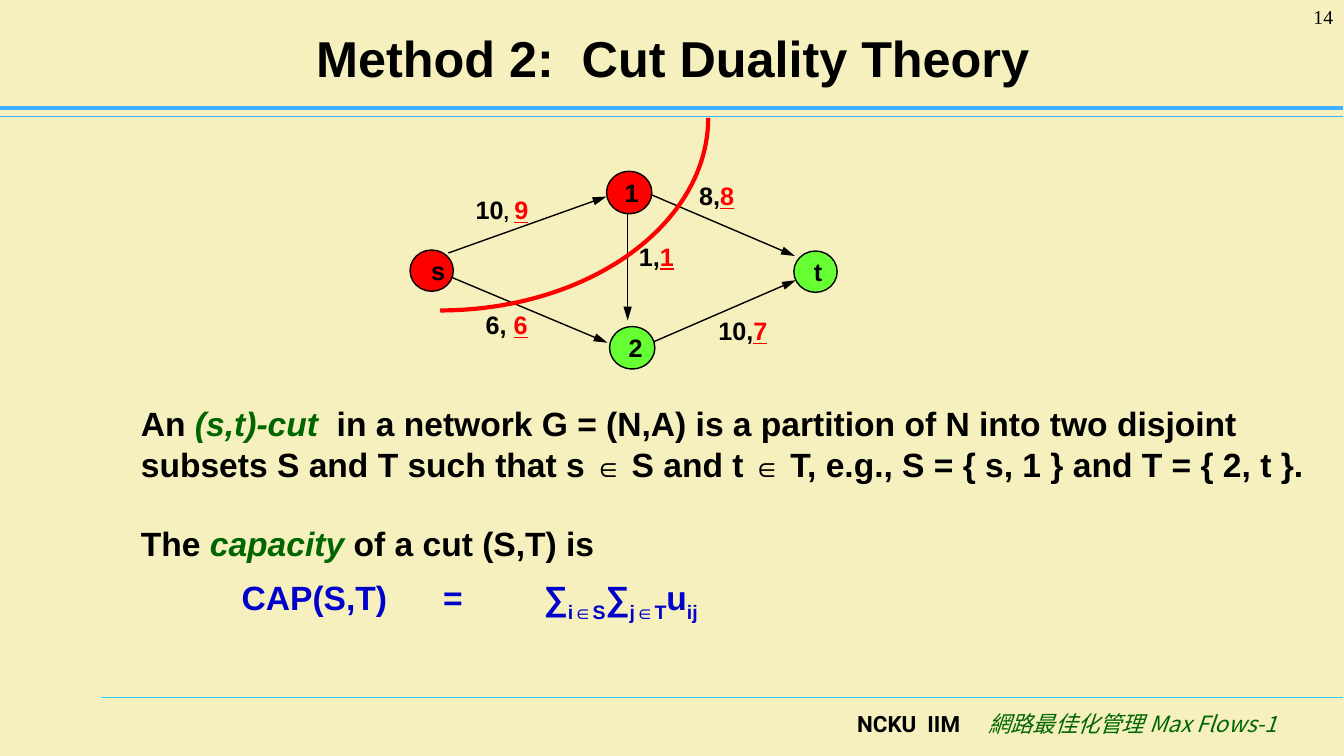
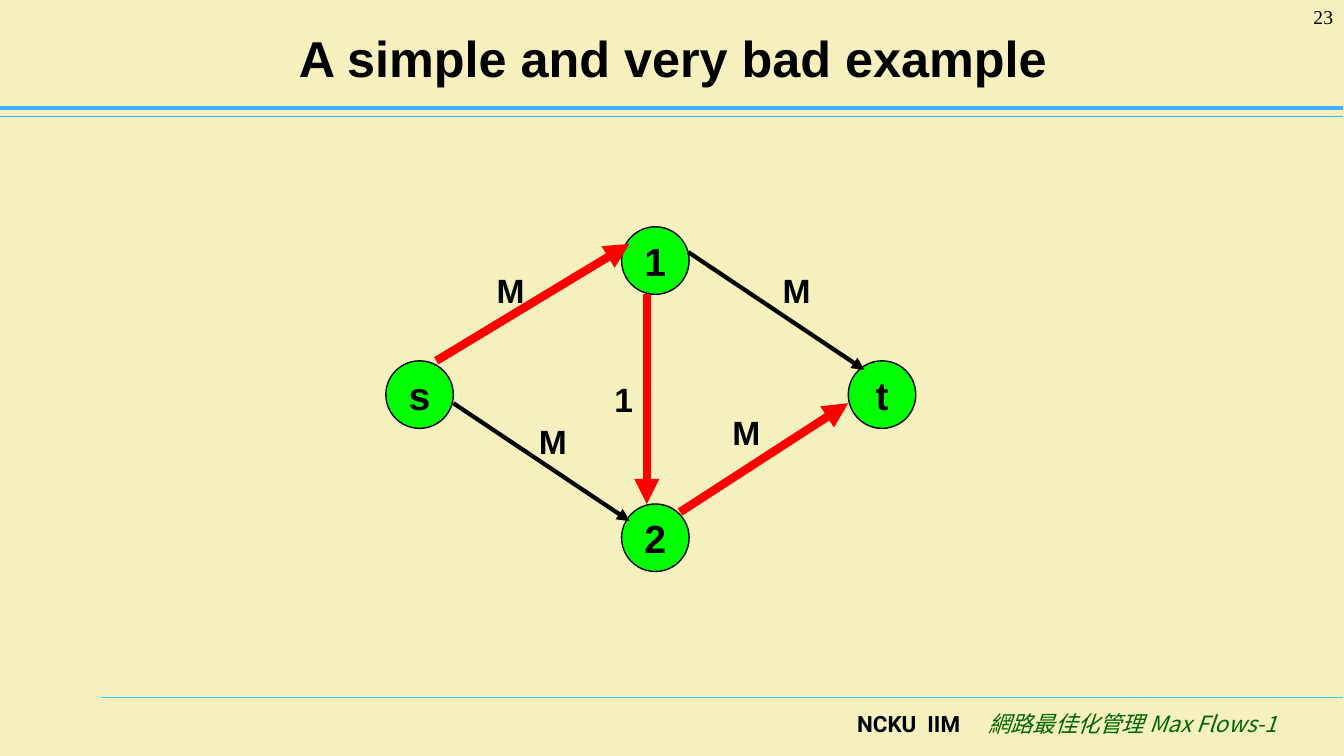
import math

import pptx
import pptx.dml.color
import pptx.enum.shapes
import pptx.enum.text
import pptx.oxml
import pptx.oxml.ns
import pptx.util
from lxml import etree
from pptx.util import Inches

COLORS = {
    "background": "F5F0BD", "text": "000000", "rule": "3DB0FF", "footer_rule": "33CCFF",
    "term": "006600", "formula": "0000CC", "red": "FF0000",
    "sink_side": "66FF33", "node": "00FF00",
}
RGB = {name: pptx.dml.color.RGBColor.from_string(value) for name, value in COLORS.items()}
ALIGN = pptx.enum.text.PP_ALIGN
MIDDLE = pptx.enum.text.MSO_ANCHOR.MIDDLE
qn = pptx.oxml.ns.qn


def write(paragraph, runs, size, font="Arial", bold=True, align=ALIGN.LEFT, tabs=()):
    """Fill a paragraph with (text, overrides) runs over one common font."""
    paragraph.alignment = align
    if tabs:
        tab_list = etree.SubElement(paragraph._p.get_or_add_pPr(), qn("a:tabLst"))
        for tab in tabs:
            etree.SubElement(tab_list, qn("a:tab"), pos=str(Inches(tab)), algn="l")
    paragraph.font.name, paragraph.font.size = font, pptx.util.Pt(size)
    paragraph.font.bold = bold
    paragraph.font.color.rgb = RGB["text"]
    for text, overrides in runs:
        run = paragraph.add_run()
        run.text = text
        for key, value in overrides.items():
            if key == "color":
                run.font.color.rgb = RGB[value]
            elif key == "size":
                run.font.size = pptx.util.Pt(value)
            elif key == "baseline":
                run._r.get_or_add_rPr().set("baseline", str(value * 1000))
            else:
                setattr(run.font, key, value)


def add_line(slide, ends, color, width, head=None):
    """Draw a straight line; head is the (width, length) of an arrowhead at its end."""
    line = slide.shapes.add_connector(
        pptx.enum.shapes.MSO_CONNECTOR.STRAIGHT, *[Inches(value) for value in ends])
    line.line.color.rgb = RGB[color]
    line.line.width = pptx.util.Pt(width)
    if head:
        etree.SubElement(line.line._get_or_add_ln(), qn("a:tailEnd"),
                         type="triangle", w=head[0], len=head[1])
    etree.SubElement(line._element.spPr, qn("a:effectLst"))
    return line


presentation = pptx.Presentation()
presentation.slide_width, presentation.slide_height = Inches(13.34), Inches(7.5)
background = presentation.slide_master.background.fill
background.solid()
background.fore_color.rgb = RGB["background"]

layout = presentation.slide_layouts[5]
for placeholder in list(layout.placeholders):
    if placeholder.placeholder_format.idx != 0:
        placeholder.element.getparent().remove(placeholder.element)

# Flow labels: capacity in black, flow in underlined red
flow = {"color": "red", "underline": True}

# Nodes: text, left, top, width, height, fill, left inset
# Edges: x1, y1, x2, y2, colour, width
# Labels: left, top, runs
diagrams = [
    {
        "title": "Method 2:  Cut Duality Theory", "number": "14",
        "node_size": 18, "label_size": 18, "label_inset": 0, "head": ("med", "lg"),
        "nodes": [
            ("s", 4.07, 2.48, 0.43, 0.41, "red", 0.13),
            ("1", 6.02, 1.7, 0.45, 0.42, "red", 0.05),
            ("2", 6.05, 3.24, 0.45, 0.42, "sink_side", 0.07),
            ("t", 7.88, 2.49, 0.43, 0.41, "sink_side", 0.05),
        ],
        "edges": [
            (4.45, 2.51, 6.02, 1.95, "text", 1),
            (4.48, 2.75, 6.03, 3.4, "text", 1),
            (6.46, 1.93, 7.89, 2.54, "text", 1),
            (6.49, 3.39, 7.9, 2.78, "text", 1),
            (6.23, 2.12, 6.23, 3.18, "text", 1),
        ],
        "labels": [
            (4.72, 1.93, [("10", {}), (", ", {"size": 14}), ("9", flow)]),
            (6.94, 1.79, [("8,", {}), ("8", flow)]),
            (6.34, 2.39, [("1,", {}), ("1", flow)]),
            (7.13, 3.13, [("10,", {}), ("7", flow)]),
            (4.82, 3.07, [("6, ", {}), ("6", flow)]),
        ],
    },
    {
        "title": "A simple and very bad example", "number": "23",
        "node_size": 28, "label_size": 24, "label_inset": 0.1, "head": ("med", "med"),
        "nodes": [
            ("s", 3.83, 3.58, 0.67, 0.67, "node", 0),
            ("1", 6.17, 2.25, 0.67, 0.67, "node", 0),
            ("2", 6.17, 5, 0.67, 0.67, "node", 0),
            ("t", 8.42, 3.58, 0.67, 0.67, "node", 0),
        ],
        "edges": [
            (6.83, 2.5, 8.58, 3.67, "text", 3),
            (4.5, 4, 6.25, 5.17, "text", 3),
            (4.33, 3.58, 6.25, 2.42, "red", 6),
            (6.75, 5.08, 8.42, 4, "red", 6),
            (6.42, 2.92, 6.42, 5, "red", 6),
        ],
        "labels": [
            (4.83, 2.68, [("M", {})]),
            (7.67, 2.68, [("M", {})]),
            (7.17, 4.09, [("M", {})]),
            (5.25, 4.18, [("M", {})]),
            (6, 3.76, [("1", {})]),
        ],
    },
]

slides = [presentation.slides.add_slide(layout) for diagram in diagrams]
cut_slide = slides[0]

# Rules and footer are drawn once and moved to the layout
shared = [
    add_line(cut_slide, (1, 6.92, 13.33, 6.92), "footer_rule", 0.75),
    add_line(cut_slide, (0, 1.16, 13.33, 1.16), "rule", 0.75),
    add_line(cut_slide, (0, 1.07, 13.33, 1.07), "rule", 2.5),
]
footer = cut_slide.shapes.add_textbox(Inches(8.41), Inches(7), Inches(4.6), Inches(0.5))
footer.text_frame.word_wrap = True
course = {"name": "Noto Sans CJK SC", "color": "term", "bold": False, "italic": True}
write(footer.text_frame.paragraphs[0],
      [("NCKU  IIM\t", {}), ("網路最佳化管理 Max Flows-1", course)],
      16, font="Roboto", tabs=[1.3])
course_font = footer.text_frame.paragraphs[0].runs[1].font
etree.SubElement(course_font._element, qn("a:ea"), typeface=course["name"])
for shape in shared + [footer]:
    layout.shapes.element.append(shape._element)

for slide, diagram in zip(slides, diagrams):
    title = slide.shapes.title
    title.left, title.top = Inches(0.68), Inches(0.13)
    title.width, title.height = Inches(12), Inches(0.87)
    title.text_frame.vertical_anchor = MIDDLE
    write(title.text_frame.paragraphs[0], [(diagram["title"], {})], 36, align=ALIGN.CENTER)

    number = slide.shapes.add_textbox(Inches(12.22), 0, Inches(1.11), Inches(0.5))
    number.text_frame.word_wrap = True
    write(number.text_frame.paragraphs[0], [(diagram["number"], {})], 14,
          font="Times New Roman", bold=False, align=ALIGN.RIGHT)

    for text, left, top, width, height, fill, inset in diagram["nodes"]:
        node = slide.shapes.add_shape(pptx.enum.shapes.MSO_SHAPE.OVAL, Inches(left),
                                      Inches(top), Inches(width), Inches(height))
        node.shadow.inherit = False
        node.fill.solid()
        node.fill.fore_color.rgb = RGB[fill]
        node.line.color.rgb = RGB["text"]
        node.line.width = pptx.util.Pt(1)
        frame = node.text_frame
        frame.word_wrap = False
        frame.vertical_anchor = MIDDLE
        frame.margin_left = Inches(inset)
        frame.margin_right = frame.margin_top = frame.margin_bottom = 0
        write(frame.paragraphs[0], [(text, {})], diagram["node_size"], align=ALIGN.CENTER)

    for *ends, color, width in diagram["edges"]:
        add_line(slide, ends, color, width, diagram["head"])

    for left, top, runs in diagram["labels"]:
        label = slide.shapes.add_textbox(Inches(left), Inches(top), Inches(0.58), Inches(0.3))
        frame = label.text_frame
        frame.word_wrap = False
        frame.margin_left = frame.margin_right = Inches(diagram["label_inset"])
        frame.margin_top = frame.margin_bottom = 0
        write(frame.paragraphs[0], runs, diagram["label_size"])

# The cut is a quarter of an ellipse
center_x, center_y, radius_x, radius_y, steps = 4.37, 1.17, 2.66, 1.91, 48
angles = [math.pi / 2 * step / steps for step in range(steps + 1)]
points = [(Inches(center_x + radius_x * math.sin(angle)),
           Inches(center_y + radius_y * math.cos(angle))) for angle in angles]
builder = cut_slide.shapes.build_freeform(*points[0])
builder.add_line_segments(points[1:], close=False)
cut = builder.convert_to_shape()
cut.shadow.inherit = False
cut.fill.background()
cut.line.color.rgb = RGB["red"]
cut.line.width = pptx.util.Pt(3)

term = {"color": "term", "italic": True}
formula = {"color": "formula"}
subscript = {"color": "formula", "baseline": -25}
element_sign = ("∈", {"size": 20})
# Space before, tab stops, runs
definitions = [
    (0, [], [
        ("An ", {}), ("(s,t)-cut ", term),
        (" in a network G = (N,A) is a partition of N into two disjoint subsets"
         " S and T such that s ", {}),
        element_sign, (" S and t ", {}), element_sign,
        (" T, e.g., S = { s, 1 } and T = { 2, t }.", {}),
    ]),
    (28, [], [("The ", {}), ("capacity ", term), ("of a cut (S,T) is", {})]),
    (10, [1, 3, 4], [
        ("\tCAP(S,T)\t=\t∑", formula), ("i∈S", subscript), ("∑", formula),
        ("j∈T", subscript), ("u", formula), ("ij", subscript),
    ]),
]
body = cut_slide.shapes.add_textbox(Inches(1.3), Inches(3.95), Inches(11.81), Inches(2.29))
body.text_frame.word_wrap = True
for index, (space, tabs, runs) in enumerate(definitions):
    paragraph = body.text_frame.add_paragraph() if index else body.text_frame.paragraphs[0]
    if space:
        paragraph.space_before = pptx.util.Pt(space)
    write(paragraph, runs, 24, tabs=tabs)

presentation.save("out.pptx")
